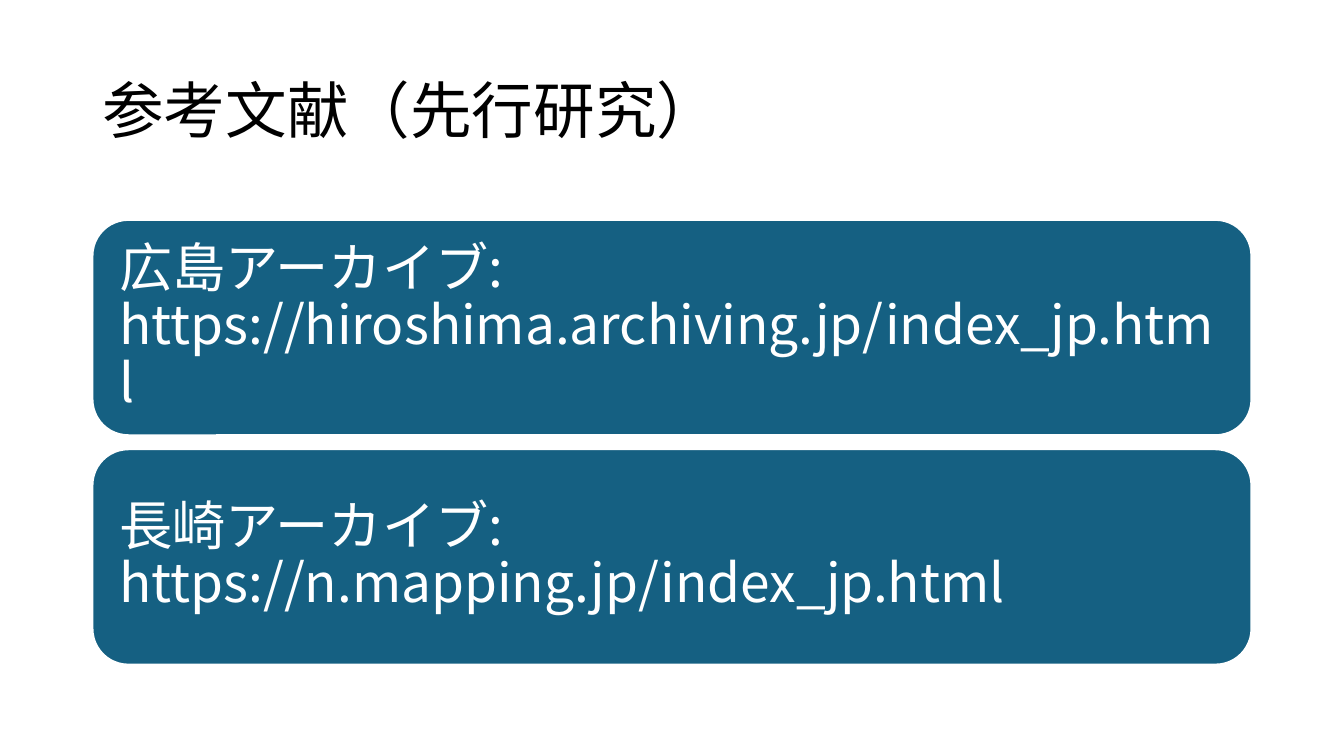
"""Builds the reference slide listing two prior archive projects."""
from dataclasses import dataclass

from lxml import etree
from pptx import Presentation
from pptx.dml.color import RGBColor
from pptx.enum.shapes import MSO_SHAPE
from pptx.enum.text import MSO_ANCHOR, PP_ALIGN
from pptx.oxml.ns import qn
from pptx.util import Cm, Pt

ROUNDED = MSO_SHAPE.ROUNDED_RECTANGLE
MIDDLE = MSO_ANCHOR.MIDDLE
LEFT = PP_ALIGN.LEFT

TITLE = "参考文献（先行研究）"
REFERENCES = [
    "広島アーカイブ: https://hiroshima.archiving.jp/index_jp.html",
    "長崎アーカイブ: https://n.mapping.jp/index_jp.html",
]


@dataclass(frozen=True)
class Theme:
    font: str = "Noto Sans CJK JP"
    black: RGBColor = RGBColor(0x00, 0x00, 0x00)
    white: RGBColor = RGBColor(0xFF, 0xFF, 0xFF)
    card: RGBColor = RGBColor(0x15, 0x60, 0x82)
    title_size: int = 44
    card_size: int = 38
    outline: float = 1.5
    line_spacing: float = 0.9


THEME = Theme()
MARGIN, WIDTH = 2.33, 29.21
TITLE_TOP, TITLE_HEIGHT = 1.01, 3.68
CARD_TOP, CARD_HEIGHT, CARD_GAP = 5.54, 5.43, 0.35
CARD_INSET = 0.41


def write(s, text, size, color):
    tf = s.text_frame
    tf.word_wrap = True
    tf.vertical_anchor = MIDDLE
    p = tf.paragraphs[0]
    p.alignment = LEFT
    p.line_spacing = THEME.line_spacing
    r = p.add_run()
    r.text = text
    r.font.size = Pt(size)
    r.font.color.rgb = color
    r.font.name = THEME.font
    etree.SubElement(r.font._element, qn("a:ea"), typeface=THEME.font)
    return tf


def add_title(sp):
    s = sp.add_textbox(Cm(MARGIN), Cm(TITLE_TOP), Cm(WIDTH), Cm(TITLE_HEIGHT))
    write(s, TITLE, THEME.title_size, THEME.black)


def add_card(sp, row, text):
    top = CARD_TOP + row * (CARD_HEIGHT + CARD_GAP)
    s = sp.add_shape(ROUNDED, Cm(MARGIN), Cm(top), Cm(WIDTH), Cm(CARD_HEIGHT))
    s.shadow.inherit = False
    s.fill.solid()
    s.fill.fore_color.rgb = THEME.card
    s.line.color.rgb = THEME.white
    s.line.width = Pt(THEME.outline)
    tf = write(s, text, THEME.card_size, THEME.white)
    tf.margin_left = tf.margin_right = Cm(CARD_INSET)
    tf.margin_top = tf.margin_bottom = Cm(CARD_INSET)


def main():
    prs = Presentation()
    prs.slide_width, prs.slide_height = Cm(33.87), Cm(19.05)
    sp = prs.slides.add_slide(prs.slide_layouts[6]).shapes
    add_title(sp)
    for row, text in enumerate(REFERENCES):
        add_card(sp, row, text)
    prs.save("out.pptx")


if __name__ == "__main__":
    main()
